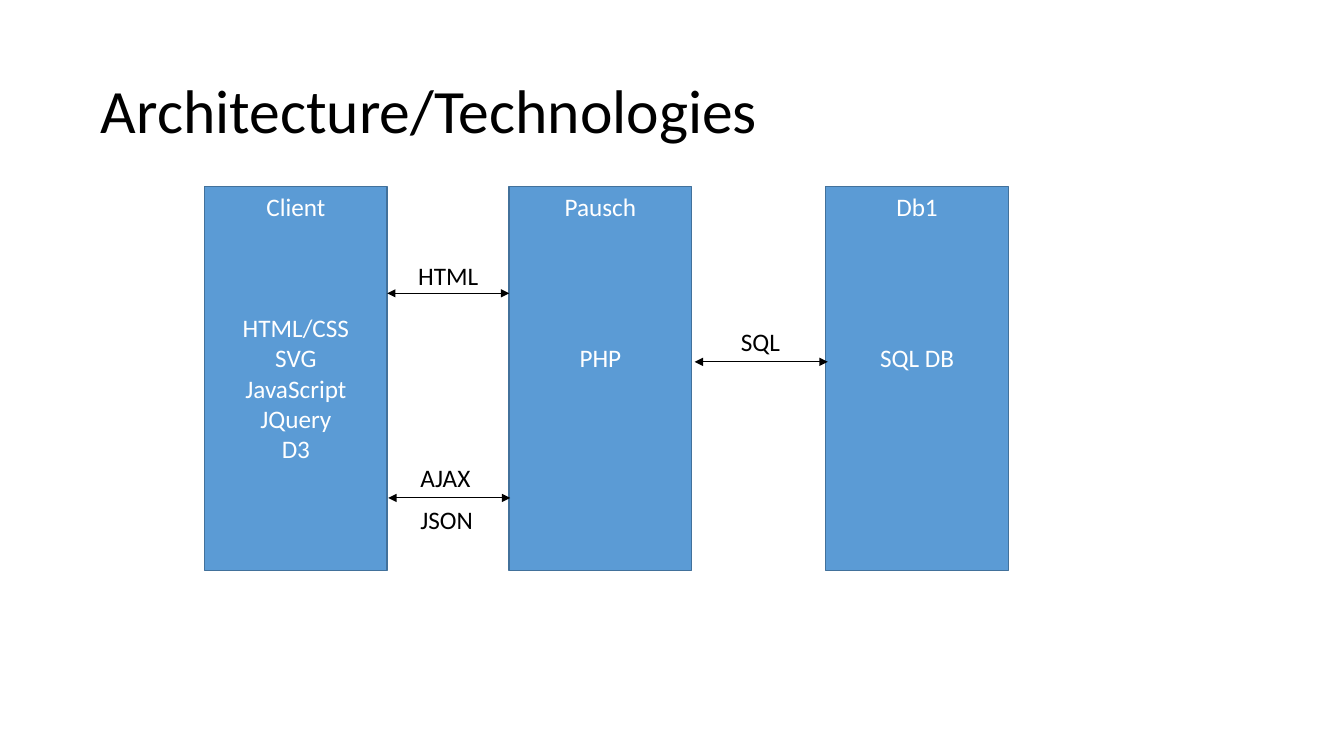
from lxml import etree
from pptx import Presentation
from pptx.dml.color import RGBColor
from pptx.enum.shapes import MSO_CONNECTOR, MSO_SHAPE
from pptx.enum.text import MSO_ANCHOR, PP_ALIGN
from pptx.oxml.ns import qn
from pptx.util import Inches, Pt

RECT = MSO_SHAPE.RECTANGLE
LINE = MSO_CONNECTOR.STRAIGHT
LEFT, CENTER = PP_ALIGN.LEFT, PP_ALIGN.CENTER
TOP, MIDDLE = MSO_ANCHOR.TOP, MSO_ANCHOR.MIDDLE

COLORS = {"black": "000000", "white": "FFFFFF", "box": "5B9BD5", "edge": "42719B"}
ROW = 21.6  # height of one 18 pt line, in points


def color(name):
    return RGBColor.from_string(COLORS[name])


def write(para, text, size, ink, align):
    para.alignment = align
    run = para.add_run()
    run.text = text
    run.font.name = "Calibri"
    run.font.size = Pt(size)
    run.font.color.rgb = color(ink)


prs = Presentation()
prs.slide_width, prs.slide_height = Inches(13.33), Inches(7.5)
slide = prs.slides.add_slide(prs.slide_layouts[5])
shapes = slide.shapes

title = shapes.title
title.left, title.top = Inches(0.9), Inches(0.4)
title.width, title.height = Inches(11.5), Inches(1.45)
title.text_frame.vertical_anchor = MIDDLE
head = title.text_frame.paragraphs[0]
head.line_spacing = 0.9
write(head, "Architecture/Technologies", 44, "black", LEFT)

# left edge, name, free rows below the name, technologies
tiers = [
    (2.03, "Client", 3, ["HTML/CSS", "SVG", "JavaScript", "JQuery", "D3"]),
    (5.05, "Pausch", 4, ["PHP"]),
    (8.19, "Db1", 4, ["SQL DB"]),
]
for left, name, gap, techs in tiers:
    box = shapes.add_shape(RECT, Inches(left), Inches(1.85), Inches(1.81), Inches(3.81))
    box.shadow.inherit = False
    box.fill.solid()
    box.fill.fore_color.rgb = color("box")
    box.line.color.rgb = color("edge")
    box.line.width = Pt(1)
    frame = box.text_frame
    frame.vertical_anchor = TOP
    write(frame.paragraphs[0], name, 18, "white", CENTER)
    for i, tech in enumerate(techs):
        para = frame.add_paragraph()
        if i == 0:
            para.space_before = Pt(gap * ROW)
        write(para, tech, 18, "white", CENTER)

for start, end, y in [(3.84, 5.05, 2.91), (3.85, 5.06, 4.94), (6.89, 8.21, 3.59)]:
    arrow = shapes.add_connector(LINE, Inches(start), Inches(y), Inches(end), Inches(y))
    arrow.line.color.rgb = color("black")
    arrow.line.width = Pt(0.75)
    stroke = arrow.line._get_or_add_ln()
    for tip in ("a:headEnd", "a:tailEnd"):
        etree.SubElement(stroke, qn(tip), type="triangle")
    etree.SubElement(stroke.getparent(), qn("a:effectLst"))

labels = [
    ("SQL", 7.25, 3.19, 0.59),
    ("AJAX", 4.07, 4.54, 0.7),
    ("HTML", 4.05, 2.53, 0.83),
    ("JSON", 4.07, 4.95, 0.86),
]
for text, left, top, width in labels:
    label = shapes.add_textbox(Inches(left), Inches(top), Inches(width), Inches(0.4))
    label.text_frame.word_wrap = False
    write(label.text_frame.paragraphs[0], text, 18, "black", LEFT)

prs.save("out.pptx")
